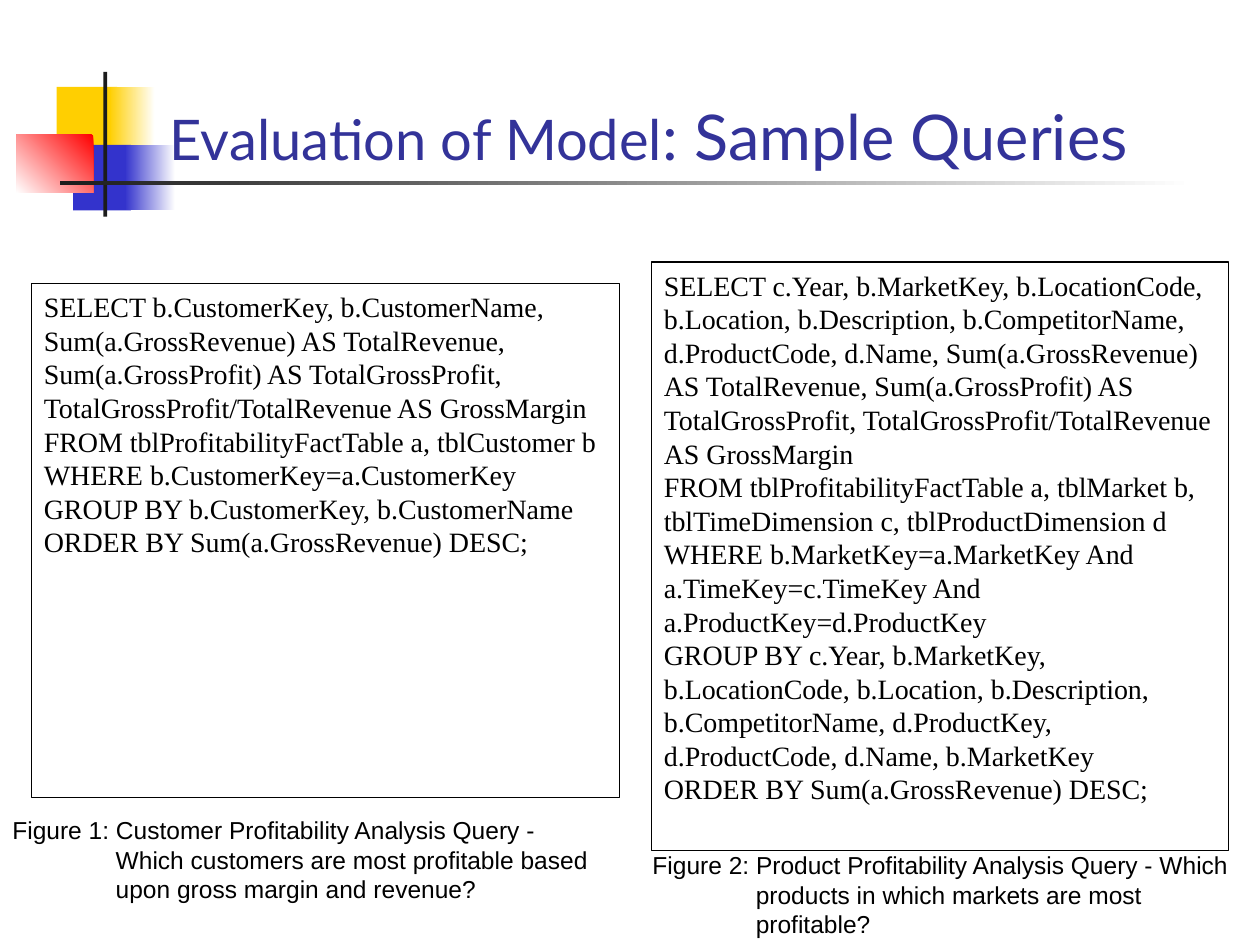
"""Build the sample queries slide."""
import dataclasses
import typing

import pptx
import pptx.dml.color
import pptx.enum.shapes
import pptx.enum.text
import pptx.util

Inches = pptx.util.Inches
COLORS = {
    "yellow": "FFCF01", "blue": "3333CC", "red": "FF0000", "white": "FFFFFF",
    "charcoal": "1C1C1C", "navy": "333399", "black": "000000",
}


class Box(typing.NamedTuple):
    left: float
    top: float
    width: float
    height: float


@dataclasses.dataclass
class Ornament:
    box: Box
    fill: str
    fade_to: str = ""
    angle: int = 180


@dataclasses.dataclass
class Query:
    box: Box
    clauses: list[str]
    caption_box: Box
    caption: str


ORNAMENTS = [
    Ornament(Box(0.45, 0.69, 0.48, 0.52), "yellow"),
    Ornament(Box(0.87, 0.69, 0.36, 0.52), "white", "yellow"),
    Ornament(Box(0.58, 1.15, 0.46, 0.52), "blue"),
    Ornament(Box(0.99, 1.15, 0.4, 0.52), "white", "blue"),
    Ornament(Box(0.13, 1.07, 0.61, 0.46), "red", "white", 225),
    Ornament(Box(0.82, 0.57, 0.03, 1.15), "charcoal"),
    Ornament(Box(0.48, 1.44, 9, 0.03), "white", "charcoal"),
]

QUERIES = [
    Query(
        Box(0.25, 2.25, 4.67, 4.08),
        [
            "SELECT b.CustomerKey, b.CustomerName, Sum(a.GrossRevenue) AS TotalRevenue, "
            "Sum(a.GrossProfit) AS TotalGrossProfit, "
            "TotalGrossProfit/TotalRevenue AS GrossMargin",
            "FROM tblProfitabilityFactTable a, tblCustomer b",
            "WHERE b.CustomerKey=a.CustomerKey",
            "GROUP BY b.CustomerKey, b.CustomerName",
            "ORDER BY Sum(a.GrossRevenue) DESC;",
        ],
        Box(0, 6.42, 4.92, 0.8),
        "Figure 1: Customer Profitability Analysis Query - Which customers are most "
        "profitable based upon gross margin and revenue?",
    ),
    Query(
        Box(5.17, 2.08, 4.58, 4.67),
        [
            "SELECT c.Year, b.MarketKey, b.LocationCode, b.Location, b.Description, "
            "b.CompetitorName, d.ProductCode, d.Name, Sum(a.GrossRevenue) AS TotalRevenue, "
            "Sum(a.GrossProfit) AS TotalGrossProfit, "
            "TotalGrossProfit/TotalRevenue AS GrossMargin",
            "FROM tblProfitabilityFactTable a, tblMarket b, tblTimeDimension c, "
            "tblProductDimension d",
            "WHERE b.MarketKey=a.MarketKey And a.TimeKey=c.TimeKey And "
            "a.ProductKey=d.ProductKey",
            "GROUP BY c.Year, b.MarketKey, b.LocationCode, b.Location, b.Description, "
            "b.CompetitorName, d.ProductKey, d.ProductCode, d.Name, b.MarketKey",
            "ORDER BY Sum(a.GrossRevenue) DESC;",
        ],
        Box(5.08, 6.7, 4.92, 0.8),
        "Figure 2: Product Profitability Analysis Query - Which products in which "
        "markets are most profitable?",
    ),
]


def rgb(name: str) -> pptx.dml.color.RGBColor:
    return pptx.dml.color.RGBColor.from_string(COLORS[name])


def place(box: Box) -> list[pptx.util.Length]:
    return [Inches(length) for length in box]


def add_rectangle(slide, box: Box, fill: str, fade_to: str = "", angle: int = 180, line: str = ""):
    rectangle = slide.shapes.add_shape(pptx.enum.shapes.MSO_SHAPE.RECTANGLE, *place(box))
    rectangle.shadow.inherit = False
    if fade_to:
        rectangle.fill.gradient()
        rectangle.fill.gradient_angle = angle
        for stop, color, position in zip(rectangle.fill.gradient_stops, (fill, fade_to), (0, 1)):
            stop.color.rgb = rgb(color)
            stop.position = position
    else:
        rectangle.fill.solid()
        rectangle.fill.fore_color.rgb = rgb(fill)
    if line:
        rectangle.line.color.rgb = rgb(line)
        rectangle.line.width = pptx.util.Pt(0.74)
    else:
        rectangle.line.fill.background()
    return rectangle


def write(holder, paragraphs: list[list[tuple[str, int]]], *, font: str, color: str = "black",
          anchor: str = "TOP", hanging: float = 0) -> None:
    frame = holder.text_frame
    frame.word_wrap = True
    frame.vertical_anchor = pptx.enum.text.MSO_ANCHOR[anchor]
    for index, pieces in enumerate(paragraphs):
        paragraph = frame.add_paragraph() if index else frame.paragraphs[0]
        paragraph.alignment = pptx.enum.text.PP_ALIGN.LEFT
        if hanging:
            properties = paragraph._p.get_or_add_pPr()
            properties.set("marL", str(Inches(hanging)))
            properties.set("indent", str(-Inches(hanging)))
        for text, size in pieces:
            run = paragraph.add_run()
            run.text = text
            run.font.name = font
            run.font.size = pptx.util.Pt(size)
            run.font.color.rgb = rgb(color)


def add_query(slide, query: Query) -> None:
    statement = add_rectangle(slide, query.box, "white", line="black")
    write(statement, [[(clause, 16)] for clause in query.clauses], font="Times New Roman")
    caption = slide.shapes.add_textbox(*place(query.caption_box))
    write(caption, [[(query.caption, 14)]], font="Arial", hanging=0.82)


def main() -> None:
    deck = pptx.Presentation()
    deck.slide_width, deck.slide_height = Inches(10), Inches(7.5)
    slide = deck.slides.add_slide(deck.slide_layouts[6])
    for ornament in ORNAMENTS:
        add_rectangle(slide, ornament.box, ornament.fill, ornament.fade_to, ornament.angle)
    title = slide.shapes.add_textbox(*place(Box(1.25, 0.17, 8.52, 1.25)))
    write(title, [[("Evaluation of Model", 32), (": Sample Queries", 36)]],
          font="Lato", color="navy", anchor="BOTTOM")
    for query in QUERIES:
        add_query(slide, query)
    deck.save("out.pptx")


main()
